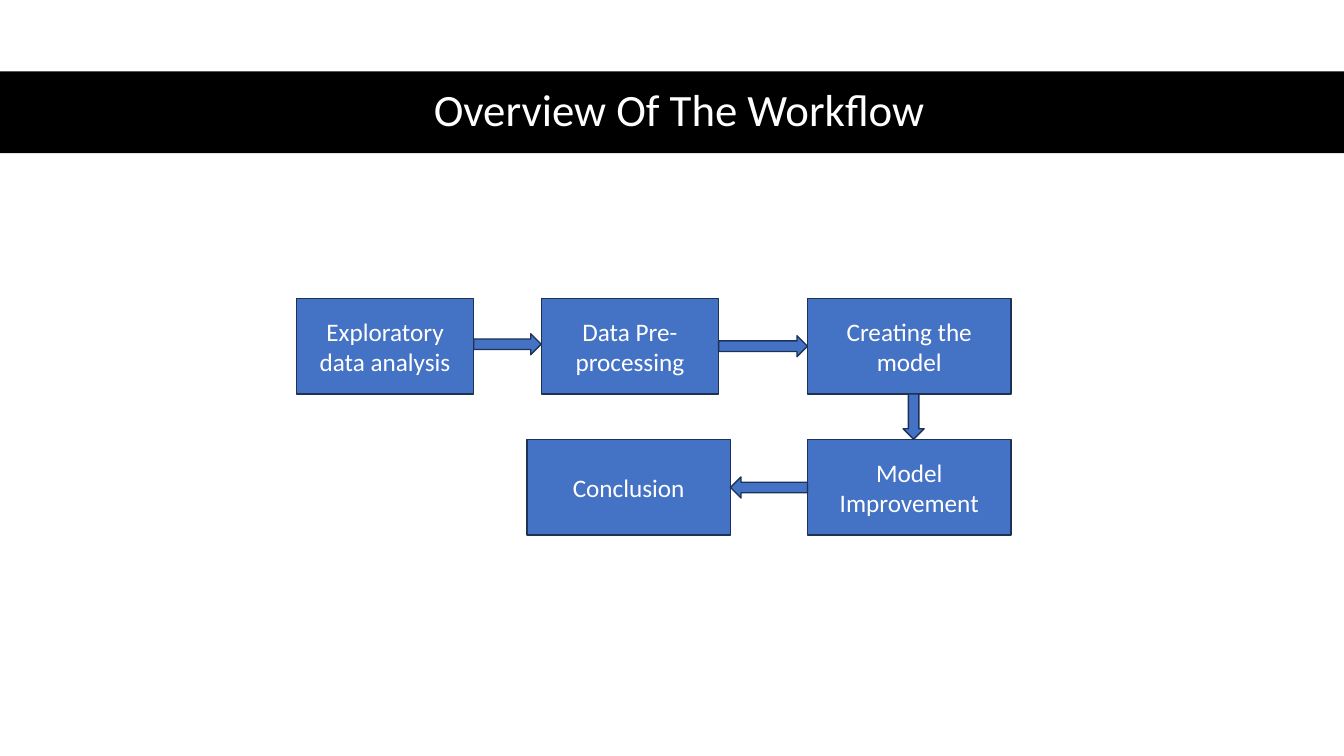
from pptx import Presentation
from pptx.dml.color import RGBColor
from pptx.enum.shapes import MSO_SHAPE
from pptx.enum.text import MSO_ANCHOR, PP_ALIGN
from pptx.util import Cm, Pt

RECT = MSO_SHAPE.RECTANGLE
RIGHT = MSO_SHAPE.RIGHT_ARROW
LEFT = MSO_SHAPE.LEFT_ARROW
DOWN = MSO_SHAPE.DOWN_ARROW
MIDDLE = MSO_ANCHOR.MIDDLE
CENTER = PP_ALIGN.CENTER

COLORS = {"band": "000000", "step": "4472C4", "edge": "1E3256", "text": "FFFFFF"}
FONT = "Calibri"
SLIDE_W, SLIDE_H = 33.87, 19.05
STEP_H, NARROW, WIDE = 2.41, 4.47, 5.13
TOP_ROW, LOW_ROW = 7.52, 11.07
EXPLORE_X, PREP_X, MODEL_X, END_X = 7.47, 13.64, 20.35, 13.28
ARROW = 0.53


class WorkflowSlide:
    """Draws the workflow elements on one slide in a shared style."""

    def __init__(self, prs):
        self.s = prs.slides.add_slide(prs.slide_layouts[6])

    def shape(self, kind, x, y, w, h, fill="step", edge="edge"):
        sp = self.s.shapes.add_shape(kind, Cm(x), Cm(y), Cm(w), Cm(h))
        sp.shadow.inherit = False
        sp.fill.solid()
        sp.fill.fore_color.rgb = RGBColor.from_string(COLORS[fill])
        if edge:
            sp.line.color.rgb = RGBColor.from_string(COLORS[edge])
            sp.line.width = Pt(1)
        else:
            sp.line.fill.background()
        return sp

    def label(self, sp, text, size):
        tf = sp.text_frame
        tf.word_wrap = True
        tf.vertical_anchor = MIDDLE
        tf.text = text
        p = tf.paragraphs[0]
        p.alignment = CENTER
        font = p.runs[0].font
        font.name = FONT
        font.size = Pt(size)
        font.color.rgb = RGBColor.from_string(COLORS["text"])
        return p

    def title(self, text):
        self.shape(RECT, 0, 1.8, SLIDE_W, 2.06, "band", None)
        sp = self.s.shapes.add_textbox(Cm(1.55), Cm(1.78), Cm(31.14), Cm(2.06))
        self.label(sp, text, 32).line_spacing = 0.9

    def step(self, text, x, y, w):
        self.label(self.shape(RECT, x, y, w, STEP_H), text, 18)

    def across(self, kind, start, end, y):
        self.shape(kind, start, y, end - start, ARROW)

    def down(self, x, start, end):
        self.shape(DOWN, x, start, ARROW, end - start)


def main():
    prs = Presentation()
    prs.slide_width, prs.slide_height = Cm(SLIDE_W), Cm(SLIDE_H)
    slide = WorkflowSlide(prs)
    slide.title("Overview Of The Workflow")

    for text, x, y, w in (
        ("Exploratory data analysis", EXPLORE_X, TOP_ROW, NARROW),
        ("Data Pre-processing", PREP_X, TOP_ROW, NARROW),
        ("Creating the model", MODEL_X, TOP_ROW, WIDE),
        ("Model Improvement", MODEL_X, LOW_ROW, WIDE),
        ("Conclusion", END_X, LOW_ROW, WIDE),
    ):
        slide.step(text, x, y, w)

    slide.across(RIGHT, EXPLORE_X + NARROW, PREP_X, 8.41)
    slide.across(RIGHT, PREP_X + NARROW, MODEL_X, 8.46)
    slide.down(22.76, TOP_ROW + STEP_H, LOW_ROW)
    slide.across(LEFT, END_X + WIDE, MODEL_X, 12.02)
    prs.save("out.pptx")


if __name__ == "__main__":
    main()
